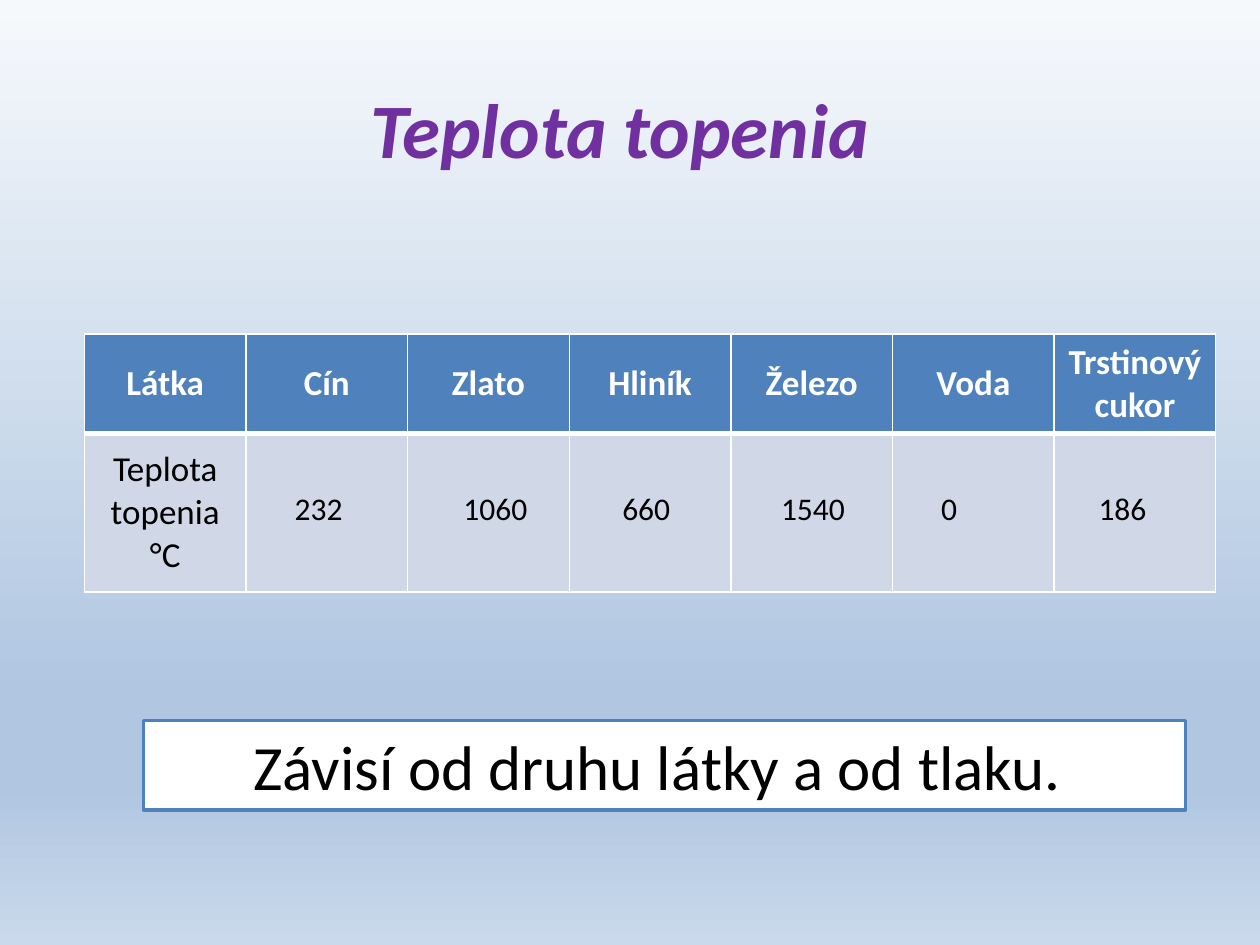
from lxml.etree import SubElement as Sub
from pptx import Presentation
from pptx.dml.color import RGBColor
from pptx.enum.shapes import MSO_SHAPE as Shape
from pptx.enum.text import MSO_ANCHOR as Anchor, MSO_AUTO_SIZE as Auto, PP_ALIGN as Align
from pptx.oxml.ns import qn
from pptx.util import Inches, Pt

BLUE, PALE, WHITE, BLACK, PURPLE = "4F81BD", "D0D8E8", "FFFFFF", "000000", "7030A0"
STOPS = [(0, "F6F9FC"), (74, "B0C6E1"), (83, "B0C6E1"), (100, "CAD9EB")]
NAMES = ["Látka", "Cín", "Zlato", "Hliník", "Železo", "Voda", "Trstinový cukor"]
TEMPS = [(2.24, "232"), (3.58, "1060"), (4.84, "660"),
         (6.1, "1540"), (7.37, "0"), (8.62, "186")]


def rgb(color):
    return RGBColor.from_string(color)


def write(frame, text, size, color=BLACK, bold=False, italic=False, align=Align.CENTER):
    para = frame.paragraphs[0]
    para.alignment = align
    run = para.add_run()
    run.text = text
    font = run.font
    font.name, font.size, font.bold, font.italic = "Calibri", Pt(size), bold, italic
    font.color.rgb = rgb(color)


def add_text(slide, box, text, size, **style):
    frame = slide.shapes.add_textbox(*map(Inches, box)).text_frame
    frame.word_wrap = True
    write(frame, text, size, **style)
    return frame


def add_box(slide, box, text, size):
    shape = slide.shapes.add_shape(Shape.RECTANGLE, *map(Inches, box))
    shape.shadow.inherit = False
    shape.fill.solid()
    shape.fill.fore_color.rgb = rgb(WHITE)
    shape.line.color.rgb = rgb(BLUE)
    shape.line.width = Pt(2)
    shape.text_frame.auto_size = Auto.SHAPE_TO_FIT_TEXT
    write(shape.text_frame, text, size)


def set_back(slide):
    fill = slide.background.fill
    fill.gradient()
    fill.gradient_angle = 270
    stops = next(slide.element.iter(qn("a:gsLst")))
    for stop in list(stops):
        stops.remove(stop)
    for pos, color in STOPS:
        stop = Sub(stops, qn("a:gs"), pos=str(pos * 1000))
        Sub(stop, qn("a:srgbClr"), val=color)


def set_cell(cell, fill, top, bottom):
    props = cell._tc.get_or_add_tcPr()
    for side, width in zip("LRTB", (1, 1, top, bottom)):
        line = Sub(props, qn("a:ln" + side), w=str(Pt(width)))
        Sub(Sub(line, qn("a:solidFill")), qn("a:srgbClr"), val=WHITE)
    cell.fill.solid()
    cell.fill.fore_color.rgb = rgb(fill)
    cell.vertical_anchor = Anchor.MIDDLE


def add_grid(slide):
    box = map(Inches, (0.67, 2.65, 8.98, 2.05))
    table = slide.shapes.add_table(2, len(NAMES), *box).table
    table.rows[0].height, table.rows[1].height = Inches(0.79), Inches(1.26)
    for col, name in enumerate(NAMES):
        head, body = table.cell(0, col), table.cell(1, col)
        set_cell(head, BLUE, 1, 3)
        set_cell(body, PALE, 3, 1)
        write(head.text_frame, name, 20, WHITE, bold=True)
    write(table.cell(1, 0).text_frame, "Teplota topenia °C", 20)


def main():
    deck = Presentation()
    deck.slide_width, deck.slide_height = Inches(10), Inches(7.5)
    slide = deck.slides.add_slide(deck.slide_layouts[6])
    set_back(slide)

    # Title and conclusion
    title = add_text(slide, (0.67, 0.21, 8.5, 1.61), "Teplota topenia", 44,
                     color=PURPLE, bold=True, italic=True)
    title.vertical_anchor = Anchor.MIDDLE
    add_box(slide, (1.14, 5.72, 8.27, 0.71), "Závisí od druhu látky a od tlaku. ", 36)

    # Table with the temperatures laid over it
    add_grid(slide)
    for left, temp in TEMPS:
        frame = add_text(slide, (left, 3.83, 0.79, 0.4), temp, 18, align=Align.LEFT)
        frame.auto_size = Auto.SHAPE_TO_FIT_TEXT

    deck.save("out.pptx")


if __name__ == "__main__":
    main()
